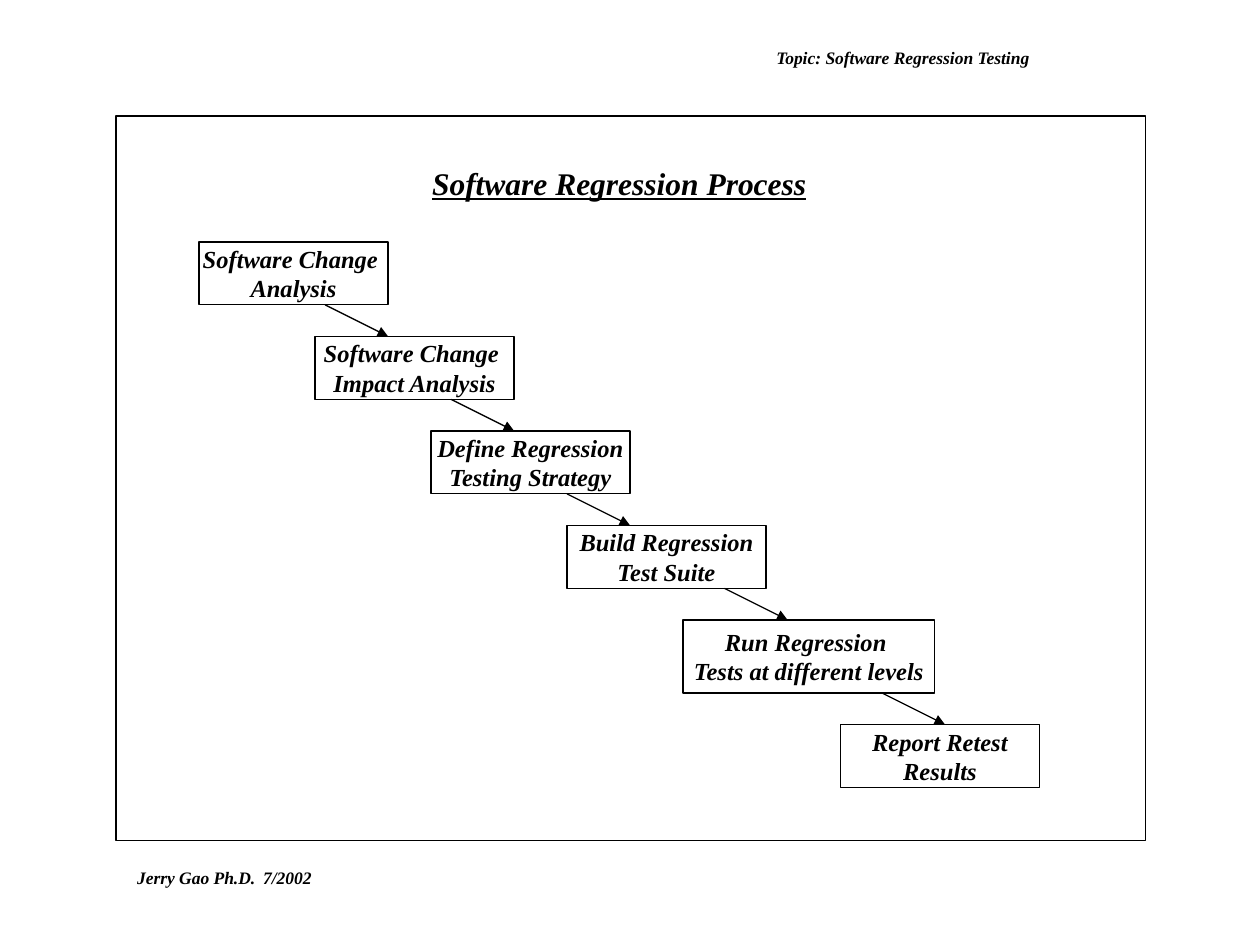
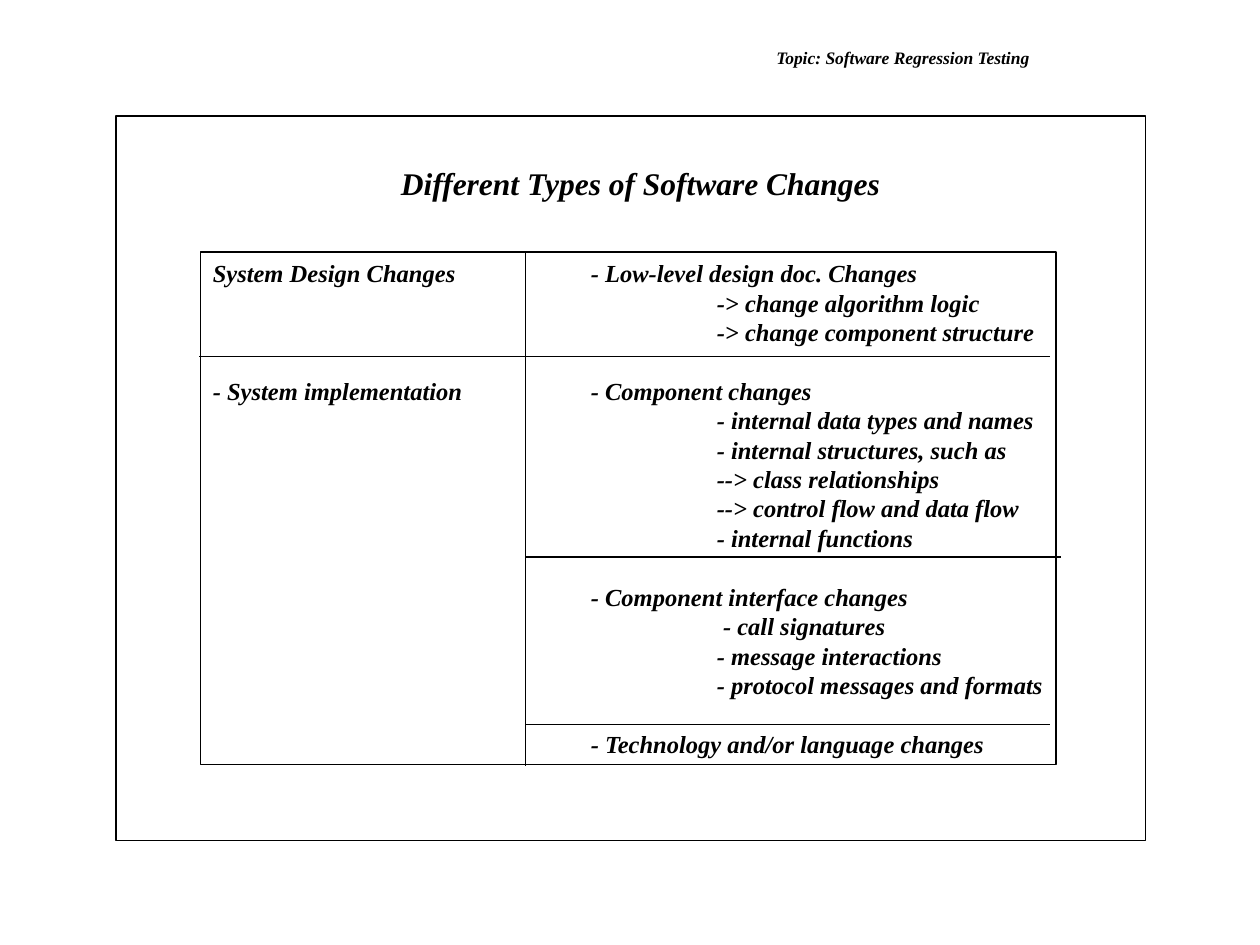
from pptx import Presentation
from pptx.dml.color import RGBColor
from pptx.enum.shapes import MSO_CONNECTOR, MSO_SHAPE
from pptx.enum.text import MSO_ANCHOR, MSO_AUTO_SIZE, PP_ALIGN
from pptx.oxml.ns import qn
from pptx.util import Inches, Pt
from lxml import etree

RECT, LINE = MSO_SHAPE.RECTANGLE, MSO_CONNECTOR.STRAIGHT
TOP, MIDDLE = MSO_ANCHOR.TOP, MSO_ANCHOR.MIDDLE
LEFT, CENTER = PP_ALIGN.LEFT, PP_ALIGN.CENTER
FIXED = MSO_AUTO_SIZE.NONE
COLORS = {"ink": "000000", "paper": "FFFFFF"}
INK = RGBColor.from_string(COLORS["ink"])
PAPER = RGBColor.from_string(COLORS["paper"])
FONT = "Times New Roman"


def write(shape, text, size, align=CENTER, anchor=TOP, wrap=True):
    frame = shape.text_frame
    frame.text = text
    frame.auto_size = FIXED
    frame.word_wrap = wrap
    frame.vertical_anchor = anchor
    frame.margin_left = frame.margin_right = Inches(0.1)
    frame.margin_top = frame.margin_bottom = Inches(0.05)
    for para in frame.paragraphs:
        para.alignment = align
        para._p.get_or_add_pPr().set("defTabSz", str(Inches(1)))
        for run in para.runs:
            font = run.font
            font.name, font.size = FONT, Pt(size)
            font.bold = font.italic = True
            font.color.rgb = INK
    return frame


def draw(shape, fill=None):
    shape.line.color.rgb = INK
    shape.line.width = Pt(0.75)
    if fill:
        shape.fill.solid()
        shape.fill.fore_color.rgb = fill
    elif hasattr(shape, "fill"):
        shape.fill.background()
    if hasattr(shape, "shadow"):
        shape.shadow.inherit = False
    else:
        etree.SubElement(shape._element.spPr, qn("a:effectLst"))
    return shape


deck = Presentation()
deck.slide_width, deck.slide_height = Inches(10), Inches(7.5)

heads = [
    ("Software Regression Process", 1.58, 6.67, True),
    ("Different Types of Software Changes", 2.67, 4.83, False),
]
slides = []
for head, left, width, under in heads:
    slide = deck.slides.add_slide(deck.slide_layouts[5])
    slides.append(slide)
    title = slide.shapes.title
    title.left, title.top = Inches(left), Inches(1.25)
    title.width, title.height = Inches(width), Inches(0.4)
    frame = write(title, head, 18)
    frame.paragraphs[0].runs[0].font.underline = under
    topic = slide.shapes.add_textbox(Inches(5.33), Inches(0.33), Inches(3.67), Inches(0.25))
    write(topic, "Topic: Software Regression Testing", 10, anchor=MIDDLE)
    draw(slide.shapes.add_shape(RECT, Inches(0.92), Inches(0.92), Inches(8.17), Inches(5.75)))

process, changes = slides

author = process.shapes.add_textbox(Inches(0.99), Inches(6.83), Inches(1.58), Inches(0.27))
write(author, "Jerry Gao Ph.D.\t7/2002", 10, LEFT, wrap=False)

GAP = 0.25
steps = [
    ("Software Change \nAnalysis", 1.58, 1.5, 0.5, 2.58),
    ("Software Change \nImpact Analysis", 2.5, 1.58, 0.5, 3.58),
    ("Define Regression\nTesting Strategy", 3.42, 1.58, 0.5, 4.5),
    ("Build Regression\nTest Suite", 4.5, 1.58, 0.5, 5.75),
    ("Run Regression \nTests at different levels", 5.42, 2, 0.58, 7),
    ("Report Retest\nResults", 6.67, 1.58, 0.5, None),
]
top = 1.92
for text, left, width, height, start in steps:
    box = process.shapes.add_shape(RECT, Inches(left), Inches(top), Inches(width), Inches(height))
    write(draw(box, PAPER), text, 14, anchor=MIDDLE, wrap=False)
    end = top + height
    top = end + GAP
    if start:
        arrow = process.shapes.add_connector(
            LINE, Inches(start), Inches(end), Inches(start + 0.5), Inches(top))
        draw(arrow)
        etree.SubElement(arrow.line._get_or_add_ln(), qn("a:tailEnd"), type="triangle")

rows = [
    ("System Design Changes\t\t- Low-level design doc. Changes", 0, False),
    ("-> change algorithm logic", 4, False),
    ("-> change component structure", 4, False),
    ("- System implementation\t\t- Component changes", 0, True),
    ("- internal data types and names", 4, False),
    ("- internal structures, such as", 4, False),
    ("--> class relationships", 4, False),
    ("--> control flow and data flow", 4, False),
    ("- internal functions", 4, False),
    ("- Component interface changes", 3, True),
    ("- call signatures", 4.05, False),
    ("- message interactions", 4, False),
    ("- protocol messages and formats", 4, False),
    ("- Technology and/or language changes", 3, True),
]
grid = draw(changes.shapes.add_shape(RECT, Inches(1.59), Inches(2), Inches(6.79), Inches(4.07)))
frame = write(grid, "\n".join(row[0] for row in rows), 14, LEFT)
frame.margin_right = 0
for para, (text, indent, gap) in zip(frame.paragraphs, rows):
    props = para._p.get_or_add_pPr()
    props.set("marL", str(Inches(indent)))
    props.set("indent", "0")
    if gap:
        para.space_before = Pt(16.8)

rules = [
    (4.17, 2, 4.17, 6.08),
    (1.58, 2.83, 8.33, 2.83),
    (4.17, 4.42, 8.42, 4.42),
    (4.17, 5.75, 8.33, 5.75),
]
for rule in rules:
    draw(changes.shapes.add_connector(LINE, *map(Inches, rule)))

deck.save("out.pptx")
